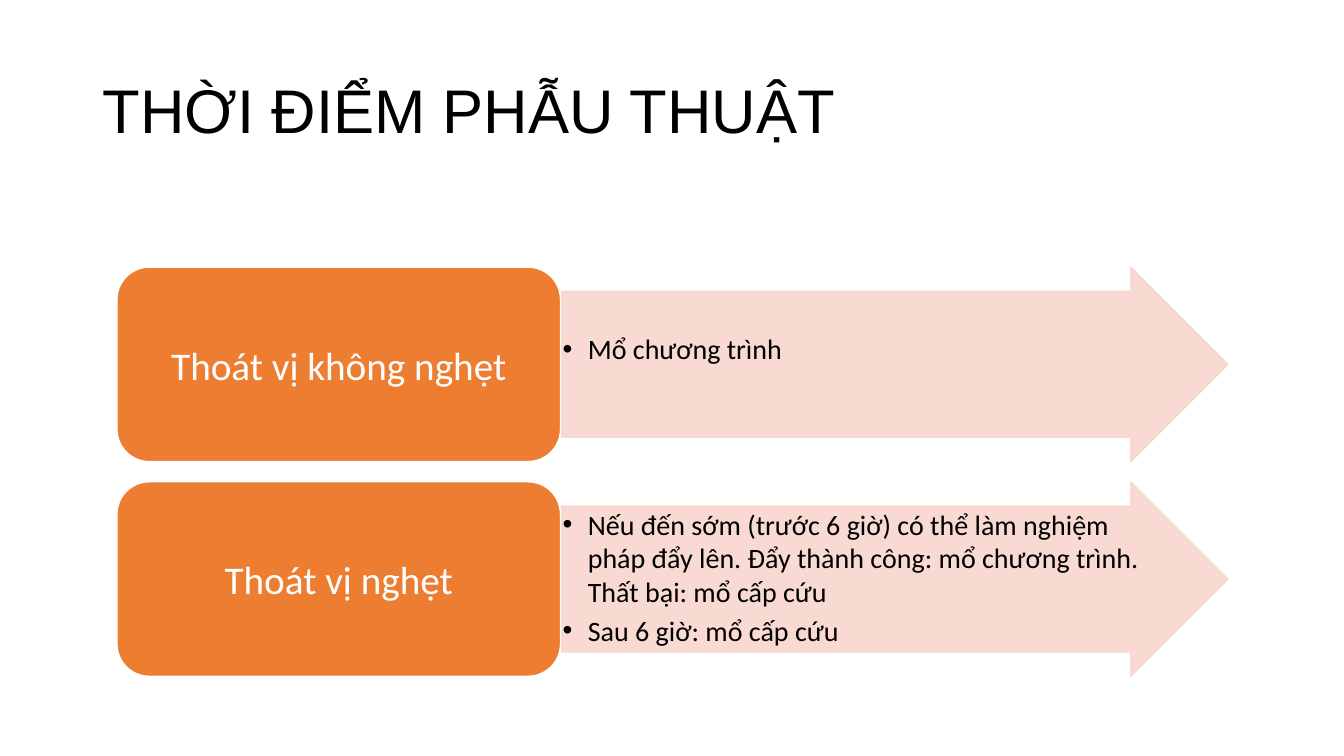
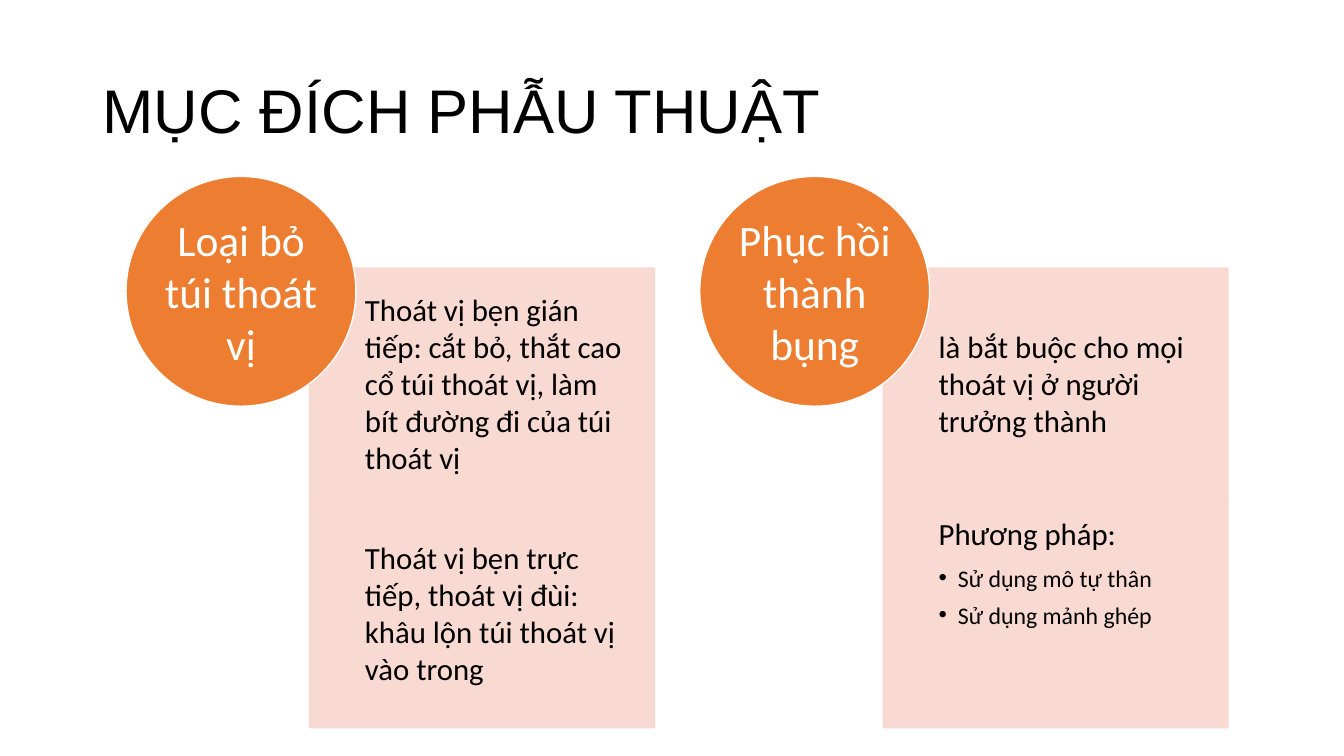
"""Build two slides on the timing and the goals of hernia surgery."""
from dataclasses import dataclass

from lxml import etree
from pptx import Presentation
from pptx.dml.color import RGBColor
from pptx.enum.shapes import MSO_SHAPE
from pptx.enum.text import MSO_ANCHOR, PP_ALIGN
from pptx.oxml.ns import qn
from pptx.util import Inches, Pt

ARROW = MSO_SHAPE.RIGHT_ARROW
CIRCLE = MSO_SHAPE.OVAL
RECTANGLE = MSO_SHAPE.RECTANGLE
ROUNDED = MSO_SHAPE.ROUNDED_RECTANGLE
TOP, MIDDLE = MSO_ANCHOR.TOP, MSO_ANCHOR.MIDDLE
LEFT, CENTER = PP_ALIGN.LEFT, PP_ALIGN.CENTER

COLORS = {"label": "ED7D31", "detail": "F8D7CE", "edge": "FFFFFF",
          "text": "000000", "label_text": "FFFFFF"}
TITLE_FONT, BODY_FONT = "Arial", "Calibri"
DETAIL_ALPHA = 90


@dataclass(frozen=True)
class Line:
    """One paragraph; a positive indent makes it a bullet."""
    text: str
    size: float
    indent: float = 0
    space_after: float = 0


@dataclass(frozen=True)
class Box:
    """Place of a shape in inches."""
    left: float
    top: float
    width: float
    height: float


@dataclass(frozen=True)
class Timing:
    """A hernia state and the advice beside it."""
    label: str
    advice: list[Line]
    top_inset: float = 0.01


@dataclass(frozen=True)
class Detail:
    """One panel below a goal."""
    lines: list[Line]
    anchor: MSO_ANCHOR = MIDDLE


@dataclass(frozen=True)
class Goal:
    """A surgical goal with its panels."""
    label: str
    details: list[Detail]


TIMINGS = [
    Timing("Thoát vị không nghẹt", [Line("Mổ chương trình", 20, 0.25)], 0.4),
    Timing("Thoát vị nghẹt", [
        Line("Nếu đến sớm (trước 6 giờ) có thể làm nghiệm pháp đẩy lên. "
             "Đẩy thành công: mổ chương trình. Thất bại: mổ cấp cứu", 20, 0.25, 4),
        Line("Sau 6 giờ: mổ cấp cứu", 20, 0.25),
    ]),
]
GOALS = [
    Goal("Loại bỏ túi thoát vị", [
        Detail([Line("Thoát vị bẹn gián tiếp: cắt bỏ, thắt cao cổ túi thoát vị, "
                     "làm bít đường đi của túi thoát vị", 22)]),
        Detail([Line("Thoát vị bẹn trực tiếp, thoát vị đùi: "
                     "khâu lộn túi thoát vị vào trong", 22)]),
    ]),
    Goal("Phục hồi thành bụng", [
        Detail([Line("là bắt buộc cho mọi thoát vị ở người trưởng thành", 22)]),
        Detail([
            Line("Phương pháp:", 22, space_after=8),
            Line("Sử dụng mô tự thân", 17, 0.19, 6),
            Line("Sử dụng mảnh ghép", 17, 0.19),
        ], TOP),
    ]),
]


def rgb(name: str) -> RGBColor:
    """Look up a palette colour."""
    return RGBColor.from_string(COLORS[name])


def add_bullet(paragraph, indent: float) -> None:
    """Give a paragraph a hanging bullet."""
    properties = paragraph._p.get_or_add_pPr()
    properties.set("marL", str(Inches(indent)))
    properties.set("indent", str(-Inches(indent)))
    etree.SubElement(properties, qn("a:buFont")).set("typeface", "Arial")
    etree.SubElement(properties, qn("a:buChar")).set("char", "•")


def write(frame, lines: list[Line], color: str, align: PP_ALIGN, anchor: MSO_ANCHOR,
          insets: tuple[float, float, float, float], font: str = BODY_FONT) -> None:
    """Fill a text frame; insets run left, top, right, bottom."""
    frame.word_wrap = True
    frame.vertical_anchor = anchor
    (frame.margin_left, frame.margin_top,
     frame.margin_right, frame.margin_bottom) = map(Inches, insets)
    for index, line in enumerate(lines):
        paragraph = frame.add_paragraph() if index else frame.paragraphs[0]
        paragraph.text = line.text
        paragraph.alignment = align
        if line.indent:
            add_bullet(paragraph, line.indent)
        paragraph.space_after = Pt(line.space_after)
        paragraph.font.name = font
        paragraph.font.size = Pt(line.size)
        paragraph.font.color.rgb = rgb(color)


def add_shape(slide, kind: MSO_SHAPE, box: Box, fill: str, edge: str):
    """Add a flat shape with a one-point edge."""
    shape = slide.shapes.add_shape(kind, Inches(box.left), Inches(box.top),
                                   Inches(box.width), Inches(box.height))
    shape.shadow.inherit = False
    shape.fill.solid()
    shape.fill.fore_color.rgb = rgb(fill)
    shape.line.color.rgb = rgb(edge)
    shape.line.width = Pt(1)
    return shape


def add_label(slide, kind: MSO_SHAPE, box: Box, text: str, size: float,
              insets: tuple[float, float, float, float]) -> None:
    """Add an orange heading shape."""
    label = add_shape(slide, kind, box, "label", "edge")
    write(label.text_frame, [Line(text, size)], "label_text", CENTER, MIDDLE, insets)


def add_detail(slide, kind: MSO_SHAPE, box: Box, lines: list[Line],
               anchor: MSO_ANCHOR, insets: tuple[float, float, float, float]):
    """Add a translucent pink shape with body text."""
    detail = add_shape(slide, kind, box, "detail", "detail")
    for color in detail._element.spPr.iter(qn("a:srgbClr")):
        etree.SubElement(color, qn("a:alpha")).set("val", str(DETAIL_ALPHA * 1000))
    write(detail.text_frame, lines, "text", LEFT, anchor, insets)
    return detail


def add_titled_slide(deck, title: str):
    """Add a blank slide with the shared title style."""
    slide = deck.slides.add_slide(deck.slide_layouts[6])
    heading = slide.shapes.add_textbox(Inches(0.92), Inches(0.4), Inches(11.5), Inches(1.45))
    write(heading.text_frame, [Line(title, 44)], "text", LEFT, MIDDLE,
          (0.1, 0.05, 0.1, 0.05), TITLE_FONT)
    heading.text_frame.paragraphs[0].line_spacing = 0.9
    return slide


def build_timing_slide(deck) -> None:
    """Draw one label and arrow per hernia state."""
    slide = add_titled_slide(deck, "THỜI ĐIỂM PHẪU THUẬT")
    for row, timing in enumerate(TIMINGS):
        top = 2.65 + row * 2.13
        arrow = add_detail(slide, ARROW, Box(5.57, top, 6.61, 1.93), timing.advice,
                           TOP, (0.01, timing.top_inset, 0.01, 0.01))
        arrow.adjustments[0] = 0.75
        add_label(slide, ROUNDED, Box(1.16, top, 4.4, 1.93), timing.label, 28,
                  (0.12, 0.06, 0.12, 0.06))


def build_goal_slide(deck) -> None:
    """Draw one circle and its stacked panels per goal."""
    slide = add_titled_slide(deck, "MỤC ĐÍCH PHẪU THUẬT")
    side = 2.28
    for column, goal in enumerate(GOALS):
        left = 1.25 + column * 5.69
        for row, detail in enumerate(goal.details):
            add_detail(slide, RECTANGLE, Box(left + 1.82, 2.66 + row * side, 3.42, side),
                       detail.lines, detail.anchor, (0.55, 0.17, 0.17, 0.17))
        add_label(slide, CIRCLE, Box(left, 1.75, side, side), goal.label, 31, (0, 0, 0, 0))


def main() -> None:
    """Build and save the deck."""
    deck = Presentation()
    deck.slide_width, deck.slide_height = Inches(13.33), Inches(7.5)
    build_timing_slide(deck)
    build_goal_slide(deck)
    deck.save("out.pptx")


if __name__ == "__main__":
    main()
